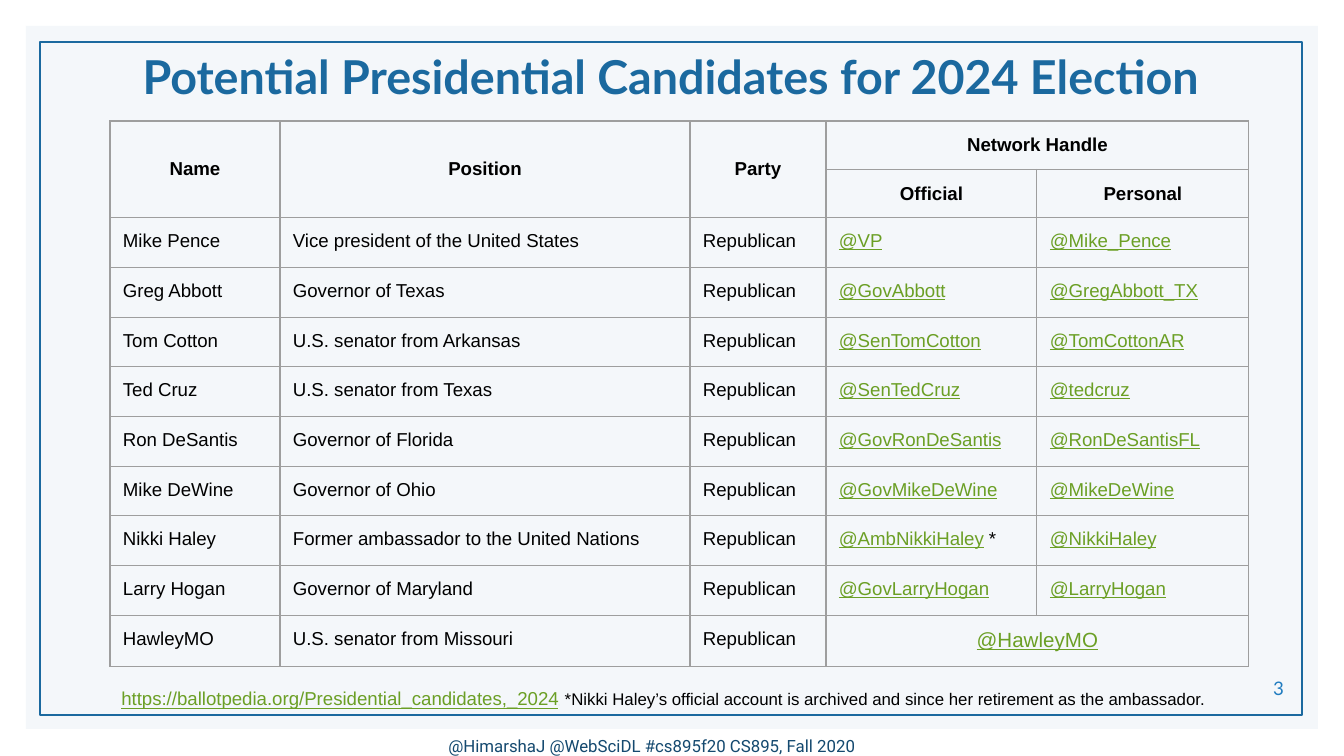
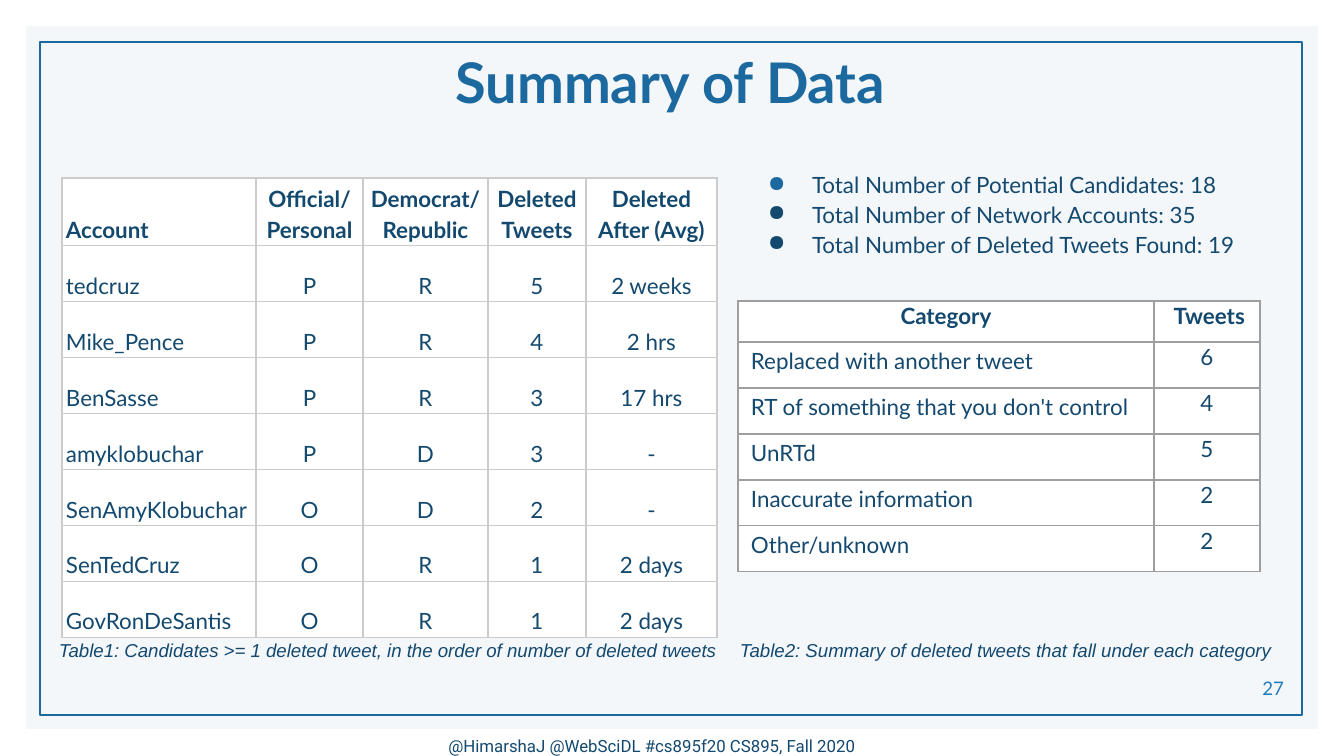
from dataclasses import dataclass, replace

from pptx import Presentation
from pptx.dml.color import RGBColor
from pptx.enum.shapes import MSO_SHAPE
from pptx.enum.text import MSO_ANCHOR as Anchor, PP_ALIGN as Align
from pptx.oxml.ns import qn
from pptx.util import Pt
from lxml.etree import SubElement

WIDTH, HEIGHT = 1344, 756
SCALE = 9144000 / WIDTH


def px(length):
    return round(length * SCALE)


@dataclass(frozen=True)
class Font:
    name: str
    size: int
    color: str
    bold: bool = False
    italic: bool = False
    underline: bool = False


class Theme:
    panel, panel_alpha = "D2E1EC", 24
    blue, navy, white = "1B699F", "14496F", "FFFFFF"
    grid, light_grid = "9E9E9E", "CCCCCC"
    title = Font("Lato", 30, blue, bold=True)
    long_title = replace(title, size=25)
    footer = Font("Roboto", 9, navy)
    number = Font("Lato", 10, "207CC0")
    body = Font("Lato", 12, navy)
    body_head = replace(body, bold=True)
    caption = Font("Arial", 10, navy, italic=True)
    cell = Font("Arial", 10, "000000")
    cell_head = replace(cell, bold=True)
    note = replace(cell, size=9)
    link = Font("Arial", 10, "6B9F25", underline=True)
    big_link = replace(link, size=11)
    tiny = Font("Arial", 2, "93C47D")
    line = 0.75


def rgb(color):
    return RGBColor.from_string(color)


def add_runs(paragraph, runs, align=Align.LEFT, spacing=None):
    paragraph.alignment = align
    if spacing:
        paragraph.line_spacing = spacing
    for text, style in runs:
        run = paragraph.add_run()
        run.text = text
        font = run.font
        font.name, font.size = style.name, Pt(style.size)
        font.bold, font.italic, font.underline = style.bold, style.italic, style.underline
        font.color.rgb = rgb(style.color)


def set_margins(target, side, top):
    target.margin_left = target.margin_right = px(side)
    target.margin_top = target.margin_bottom = px(top)


def add_text(slide, box, runs, align=Align.LEFT, anchor=Anchor.TOP,
             margins=(13, 13), spacing=None):
    frame = slide.shapes.add_textbox(*map(px, box)).text_frame
    frame.word_wrap = True
    frame.vertical_anchor = anchor
    set_margins(frame, *margins)
    add_runs(frame.paragraphs[0], runs, align, spacing)
    return frame


def add_rectangle(slide, box):
    shape = slide.shapes.add_shape(MSO_SHAPE.RECTANGLE, *map(px, box))
    shape.shadow.inherit = False
    return shape


# Shared frame, title, number and footer
def add_base(presentation, title, title_font, title_box, number):
    slide = presentation.slides.add_slide(presentation.slide_layouts[6])
    panel = add_rectangle(slide, (26, 26, 1292, 703))
    panel.fill.solid()
    panel.fill.fore_color.rgb = rgb(Theme.panel)
    color = panel.fill._xPr.find(qn("a:solidFill"))[0]
    SubElement(color, qn("a:alpha"), val=str(Theme.panel_alpha * 1000))
    panel.line.fill.background()

    border = add_rectangle(slide, (40, 42, 1262, 673))
    border.fill.background()
    border.line.color.rgb = rgb(Theme.blue)
    border.line.width = Pt(Theme.line)

    add_text(slide, (24, 708, 1255, 58),
             [("@HimarshaJ @WebSciDL #cs895f20 CS895, Fall 2020", Theme.footer)],
             Align.CENTER, Anchor.BOTTOM)
    add_text(slide, title_box, [(title, title_font)], Align.CENTER, Anchor.MIDDLE,
             (9, 5), 0.9)
    add_text(slide, (1173, 645, 120, 59), [(str(number), Theme.number)],
             Align.RIGHT, Anchor.BOTTOM, (9, 5))
    return slide


# Tables
def set_borders(cell, color):
    properties = cell._tc.get_or_add_tcPr()
    for side in ("lnL", "lnR", "lnT", "lnB"):
        line = SubElement(properties, qn(f"a:{side}"), w=str(Pt(Theme.line)))
        fill = SubElement(line, qn("a:solidFill"))
        SubElement(fill, qn("a:srgbClr"), val=color)


def add_table(slide, left, top, columns, heights, rows, style_cell,
              border, fill=None, margins=(13, 13), spans=()):
    """style_cell(row, column, text) gives runs, alignment, anchor and line spacing."""
    box = (left, top, sum(columns), sum(heights))
    table = slide.shapes.add_table(len(rows), len(columns), *map(px, box)).table
    table.first_row = table.horz_banding = False
    for column, width in zip(table.columns, columns):
        column.width = px(width)
    for row, height in zip(table.rows, heights):
        row.height = px(height)
    for first, last in spans:
        table.cell(*first).merge(table.cell(*last))
    for r, row in enumerate(rows):
        for c, text in enumerate(row):
            cell = table.cell(r, c)
            set_margins(cell, *margins)
            set_borders(cell, border)
            if fill:
                cell.fill.solid()
                cell.fill.fore_color.rgb = rgb(fill)
            else:
                cell.fill.background()
            if text:
                runs, align, cell.vertical_anchor, spacing = style_cell(r, c, text)
                add_runs(cell.text_frame.paragraphs[0], runs, align, spacing)


CANDIDATES = [
    ("Mike Pence", "Vice president of the United States", "@VP", "@Mike_Pence"),
    ("Greg Abbott", "Governor of Texas", "@GovAbbott", "@GregAbbott_TX"),
    ("Tom Cotton", "U.S. senator from Arkansas", "@SenTomCotton", "@TomCottonAR"),
    ("Ted Cruz", "U.S. senator from Texas", "@SenTedCruz", "@tedcruz"),
    ("Ron DeSantis", "Governor of Florida", "@GovRonDeSantis", "@RonDeSantisFL"),
    ("Mike DeWine", "Governor of Ohio", "@GovMikeDeWine", "@MikeDeWine"),
    ("Nikki Haley", "Former ambassador to the United Nations", "@AmbNikkiHaley *",
     "@NikkiHaley"),
    ("Larry Hogan", "Governor of Maryland", "@GovLarryHogan", "@LarryHogan"),
    ("HawleyMO", "U.S. senator from Missouri", "@HawleyMO", ""),
]


def add_candidates_table(slide, left, top):
    rows = [("Name", "Position", "Party", "Network Handle", ""),
            ("", "", "", "Official", "Personal")]
    rows += [(name, position, "Republican", official, personal)
             for name, position, official, personal in CANDIDATES]
    last = len(rows) - 1

    def style_cell(r, c, text):
        if r < 2:
            return [(text, Theme.cell_head)], Align.CENTER, Anchor.MIDDLE, None
        if c < 3:
            return [(text, Theme.cell)], Align.LEFT, Anchor.TOP, None
        if r == last:
            return [(text, Theme.big_link)], Align.CENTER, Anchor.TOP, None
        handle, star, _ = text.partition(" *")
        runs = [(handle, Theme.link)]
        if star:
            runs.append((star, Theme.cell))
        return runs, Align.LEFT, Anchor.TOP, None

    spans = [((0, c), (1, c)) for c in range(3)]
    spans += [((r, 3), (r, 4)) for r in (0, last)]
    add_table(slide, left, top, (170, 410, 136, 211, 212),
              [48, 48] + [50, 50, 49] * 3, rows, style_cell, Theme.grid, spans=spans)


def add_accounts_table(slide, left, top):
    rows = [
        ("Account", "Official/ Personal", "Democrat/ Republic", "Deleted Tweets",
         "Deleted After (Avg)"),
        ("tedcruz", "P", "R", "5", "2 weeks"),
        ("Mike_Pence", "P", "R", "4", "2 hrs"),
        ("BenSasse", "P", "R", "3", "17 hrs"),
        ("amyklobuchar", "P", "D", "3", "-"),
        ("SenAmyKlobuchar", "O", "D", "2", "-"),
        ("SenTedCruz", "O", "R", "1", "2 days"),
        ("GovRonDeSantis", "O", "R", "1", "2 days"),
    ]

    def style_cell(r, c, text):
        font = Theme.body if r else Theme.body_head
        return [(text, font)], Align.CENTER if c else Align.LEFT, Anchor.BOTTOM, 1.15

    add_table(slide, left, top, (194, 107, 125, 98, 131), [67] + [56] * 7, rows,
              style_cell, Theme.light_grid, Theme.white, (4, 3))


def add_categories_table(slide, left, top):
    rows = [
        ("Category", " Tweets"),
        ("Replaced with another tweet", "6"),
        ("RT of something that you don't control", "4"),
        ("UnRTd", "5"),
        ("Inaccurate information", "2"),
        ("Other/unknown", "2"),
    ]

    def style_cell(r, c, text):
        if r and not c:
            return [(text, Theme.body)], Align.LEFT, Anchor.TOP, 0.7
        font = Theme.body if r else Theme.body_head
        return [(text, font)], Align.CENTER, Anchor.TOP, 0.5

    add_table(slide, left, top, (416, 106), [41] + [46] * 5, rows, style_cell,
              Theme.grid, Theme.white)


# Bulleted totals
def add_totals(slide, box):
    totals = [("Total Number of Potential Candidates: 18", Theme.blue),
              ("Total Number of Network Accounts: 35", Theme.navy),
              ("Total Number of Deleted Tweets Found: 19", Theme.navy)]
    frame = add_text(slide, box, [])
    for index, (text, bullet_color) in enumerate(totals):
        paragraph = frame.add_paragraph() if index else frame.paragraphs[0]
        add_runs(paragraph, [(text, Theme.body)], spacing=1.1)
        properties = paragraph._p.get_or_add_pPr()
        properties.set("marL", str(px(67)))
        properties.set("indent", str(px(-44)))
        color = SubElement(properties, qn("a:buClr"))
        SubElement(color, qn("a:srgbClr"), val=bullet_color)
        SubElement(properties, qn("a:buChar"), char="●")


def build_candidates(presentation):
    slide = add_base(presentation, "Potential Presidential Candidates for 2024 Election",
                     Theme.long_title, (40, 4, 1261, 150), 3)
    add_text(slide, (12, 676, 1302, 52), [
        ("https://ballotpedia.org/Presidential_candidates,_2024", Theme.link),
        (",", Theme.tiny),
        (" ", Theme.cell),
        ("*Nikki Haley’s official account is archived and since her retirement "
         "as the ambassador.", Theme.note),
    ], Align.CENTER)
    add_candidates_table(slide, 110, 121)


def build_summary(presentation):
    slide = add_base(presentation, "Summary of Data", Theme.title, (40, 26, 1261, 119), 27)
    add_accounts_table(slide, 62, 178)
    add_categories_table(slide, 738, 301)
    add_totals(slide, (732, 156, 528, 120))
    captions = [
        (46, 703, "Table1: Candidates >= 1 deleted tweet, in the order of number of "
                  "deleted tweets"),
        (727, 569, "Table2: Summary of deleted tweets that fall under each category"),
    ]
    for left, width, text in captions:
        add_text(slide, (left, 628, width, 52), [(text, Theme.caption)])


def main():
    presentation = Presentation()
    presentation.slide_width, presentation.slide_height = px(WIDTH), px(HEIGHT)
    build_candidates(presentation)
    build_summary(presentation)
    presentation.save("out.pptx")


if __name__ == "__main__":
    main()
